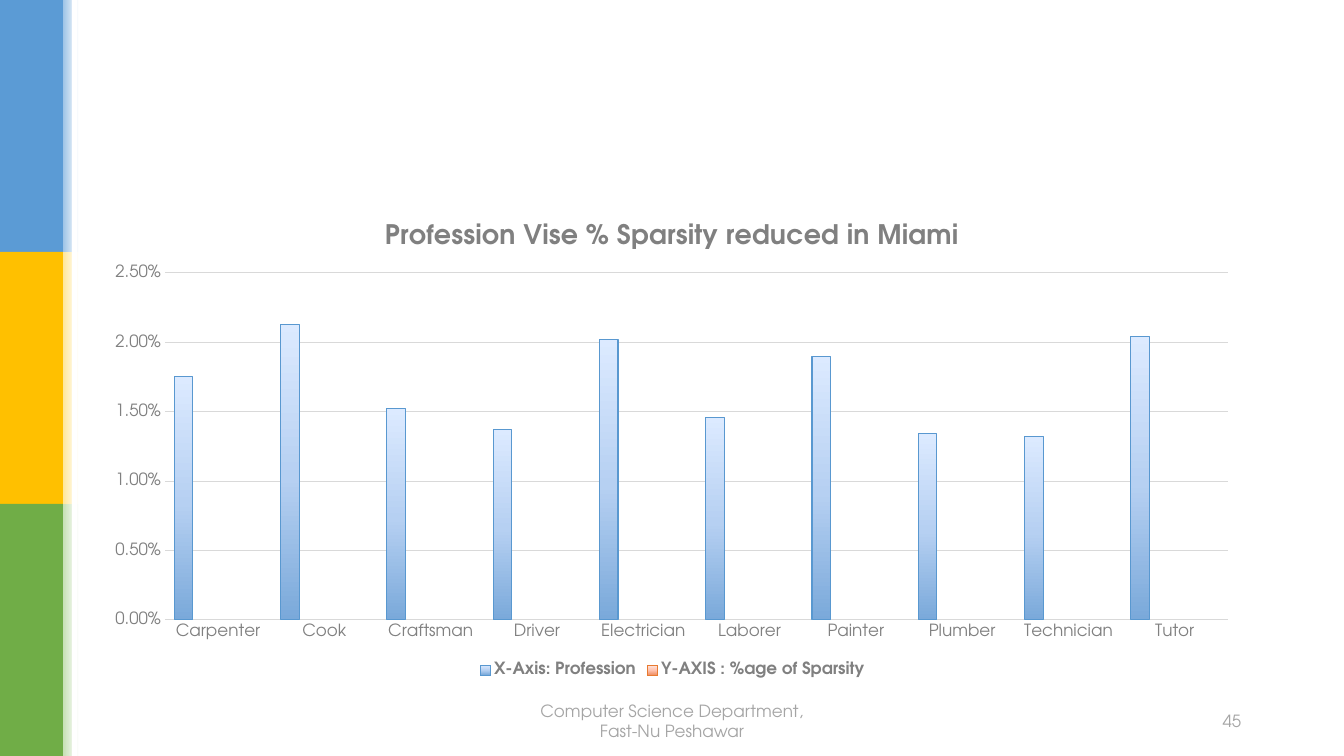
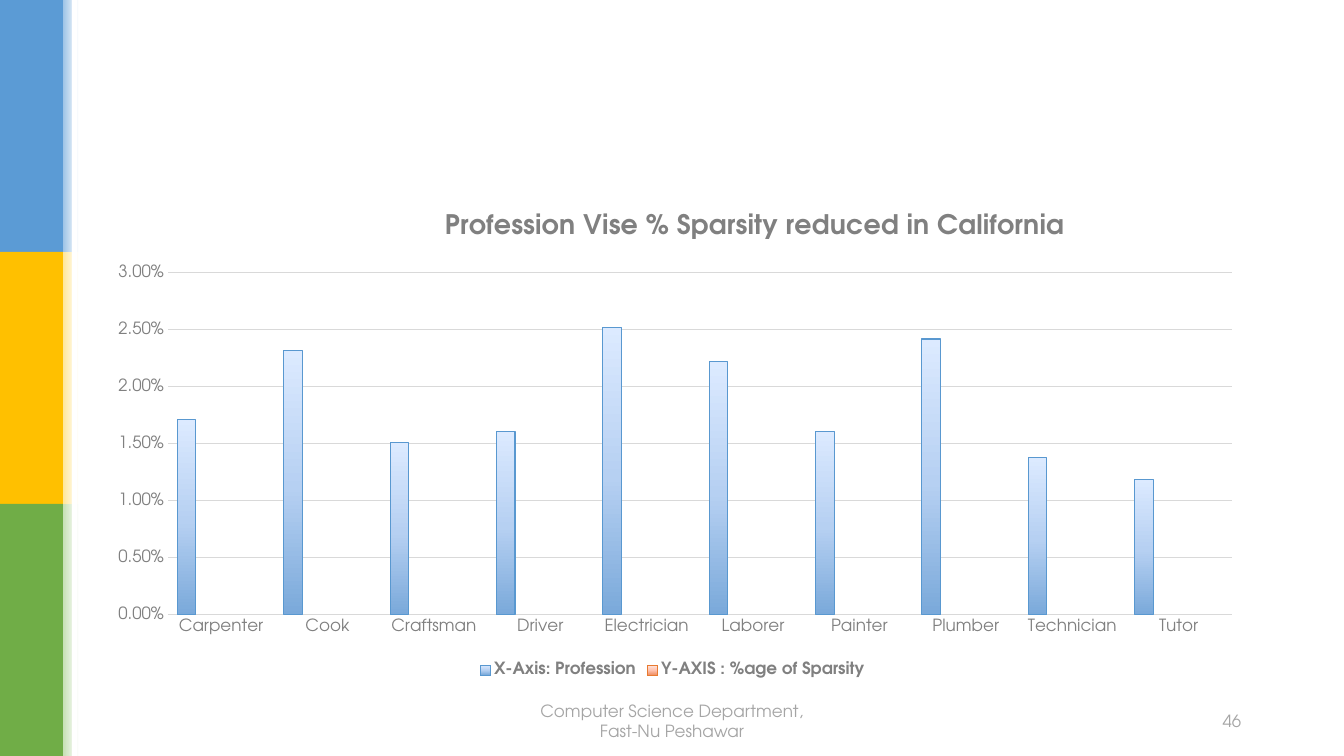
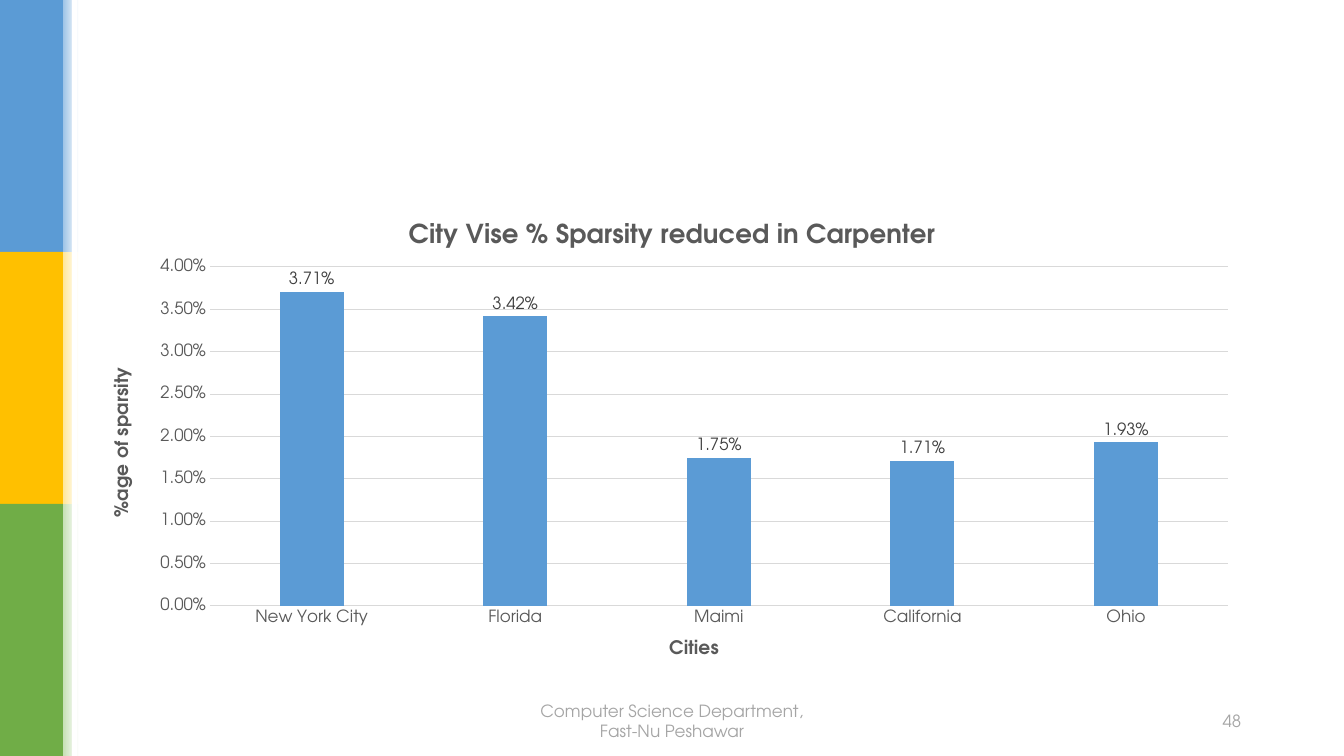
from copy import deepcopy

from pptx import Presentation
from pptx.chart.data import CategoryChartData as ChartData
from pptx.dml.color import RGBColor
from pptx.enum.chart import XL_CHART_TYPE as ChartType
from pptx.enum.chart import XL_LABEL_POSITION as LabelPosition
from pptx.enum.chart import XL_LEGEND_POSITION as LegendPosition
from pptx.enum.chart import XL_TICK_MARK as TickMark
from pptx.enum.shapes import MSO_SHAPE as ShapeType
from pptx.enum.text import MSO_ANCHOR as Anchor
from pptx.enum.text import PP_ALIGN as Align
from pptx.oxml import parse_xml
from pptx.oxml.ns import nsdecls, qn
from pptx.util import Emu, Pt

FONT = "TeX Gyre Adventor"
PERCENT = "0.00%"
SLIDE_WIDTH, SLIDE_HEIGHT = 1344, 756
BAND_WIDTH, FADE_WIDTH = 63, 16
CHART_BOX = (93, 202, 1159, 480)
FOOTER_BOX = (512, 701, 320, 40)
NUMBER_BOX = (890, 701, 361, 40)

WHITE = RGBColor(0xFF, 0xFF, 0xFF)
BLACK = RGBColor(0x00, 0x00, 0x00)
BLUE = RGBColor(0x5B, 0x9B, 0xD5)
GOLD = RGBColor(0xFF, 0xC0, 0x00)
GREEN = RGBColor(0x70, 0xAD, 0x47)
PALE_BLUE = RGBColor(0x9D, 0xC3, 0xE6)
PALE_GOLD = RGBColor(0xFF, 0xE6, 0x99)
PALE_GREEN = RGBColor(0xC5, 0xE0, 0xB4)
GRID_GREY = RGBColor(0xD9, 0xD9, 0xD9)
FOOTER_GREY = RGBColor(0xA5, 0xA5, 0xA5)
MID_GREY = RGBColor(0x80, 0x80, 0x80)
DARK_GREY = RGBColor(0x59, 0x59, 0x59)
LABEL_GREY = RGBColor(0x40, 0x40, 0x40)

BANDS = [(BLUE, PALE_BLUE), (GOLD, PALE_GOLD), (GREEN, PALE_GREEN)]

GRADIENT_POSITIONS = (0, 0.48, 1)
PROFESSION_SERIES = [
    ("X-Axis: Profession", RGBColor(0x59, 0x98, 0xD0),
     (RGBColor(0x7A, 0xA9, 0xDA), RGBColor(0xB6, 0xD0, 0xF2), RGBColor(0xDC, 0xEA, 0xFF))),
    ("Y-AXIS : %age of Sparsity", RGBColor(0xE8, 0x7A, 0x30),
     (RGBColor(0xEF, 0x91, 0x66), RGBColor(0xFF, 0xC2, 0xAF), RGBColor(0xFF, 0xE6, 0xDF))),
    ("Series 3", RGBColor(0xA1, 0xA1, 0xA1),
     (RGBColor(0xB1, 0xB1, 0xB1), RGBColor(0xD5, 0xD5, 0xD5), RGBColor(0xED, 0xED, 0xED))),
    ("Series 4", RGBColor(0xF9, 0xBC, 0x00),
     (RGBColor(0xFF, 0xC7, 0x5E), RGBColor(0xFF, 0xE0, 0xB6), RGBColor(0xFF, 0xF2, 0xE2))),
]
HIDDEN_LEGEND_ENTRIES = (2, 3)
PROFESSIONS = ["Carpenter", "Cook", "Craftsman", "Driver", "Electrician",
               "Laborer", "Painter", "Plumber", "Technician", "Tutor"]
MIAMI = [0.0175, 0.0213, 0.0152, 0.0137, 0.0202, 0.0146, 0.019, 0.0134, 0.0132, 0.0204]
CALIFORNIA = [0.0171, 0.0232, 0.0151, 0.0161, 0.0252, 0.0222, 0.0161, 0.0242, 0.0138, 0.0119]
CITIES = ["New York City", "Florida", "Maimi", "California", "Ohio"]
CARPENTER = [0.0371, 0.0342, 0.0175, 0.0171, 0.0193]


def px(length):
    return Emu(round(length * 914400 / 100.8))


def place(box):
    return [px(length) for length in box]


def style_font(font, size, color, bold=False):
    font.name = FONT
    font.size = Pt(size)
    font.bold = bold
    font.color.rgb = color


def paint_stops(fill, colors, positions, angle):
    fill.gradient_angle = angle
    for stop, color, position in zip(fill.gradient_stops, colors, positions):
        stop.color.rgb = color
        stop.position = position


def add_rectangle(slide, box):
    shape = slide.shapes.add_shape(ShapeType.RECTANGLE, *place(box))
    shape.shadow.inherit = False
    shape.line.fill.background()
    return shape


def add_side_bands(slide, box):
    left, top, width, height = box
    band_height = height // len(BANDS)
    shapes = []
    for index, (color, pale) in enumerate(BANDS):
        band_top = top + index * band_height
        band = add_rectangle(slide, (left, band_top, width, band_height))
        band.fill.solid()
        band.fill.fore_color.rgb = color
        fade = add_rectangle(slide, (left + width, band_top, FADE_WIDTH, band_height))
        fade.fill.gradient()
        paint_stops(fade.fill, (pale, WHITE), (0, 1), 0)
        shapes += [band, fade]
    strip = add_rectangle(slide, (left + width + 9, top, 5, height))
    strip.fill.solid()
    strip.fill.fore_color.rgb = WHITE
    return shapes + [strip]


def build_layout(layout, slide):
    tree = layout.shapes.element
    for placeholder in list(layout.placeholders):
        tree.remove(placeholder.element)
    for shape in add_side_bands(slide, (0, 0, BAND_WIDTH, SLIDE_HEIGHT)):
        tree.append(shape.element)


def add_footer_text(slide, box, text, alignment):
    frame = slide.shapes.add_textbox(*place(box)).text_frame
    frame.word_wrap = True
    frame.vertical_anchor = Anchor.MIDDLE
    paragraph = frame.paragraphs[0]
    paragraph.alignment = alignment
    run = paragraph.add_run()
    run.text = text
    style_font(run.font, 12, FOOTER_GREY)


def add_footer(slide, number):
    add_footer_text(slide, FOOTER_BOX, "Computer Science Department, Fast-Nu Peshawar", Align.CENTER)
    add_footer_text(slide, NUMBER_BOX, str(number), Align.RIGHT)


def manual_layout(sizes, box, target=""):
    names = ("x", "y", "w", "h")[:len(sizes)]
    modes = "".join(f'<c:{name}Mode val="edge"/>' for name in names[:2])
    values = "".join(f'<c:{name} val="{size / box[2 + index % 2]:.4f}"/>'
                     for index, (name, size) in enumerate(zip(names, sizes)))
    return parse_xml(f'<c:layout {nsdecls("c")}><c:manualLayout>{target}{modes}{values}'
                     '</c:manualLayout></c:layout>')


def remove_layout(element):
    for layout in element.findall(qn("c:layout")):
        element.remove(layout)


def place_plot(chart, sizes, box):
    area = chart.element.xpath("c:chart/c:plotArea")[0]
    remove_layout(area)
    area.insert(0, manual_layout(sizes, box, '<c:layoutTarget val="inner"/>'))


def place_title(chart, sizes, box):
    title = chart.element.xpath("c:chart/c:title")[0]
    remove_layout(title)
    title.find(qn("c:tx")).addnext(manual_layout(sizes, box))


def write_title(title, text, size, color):
    run = title.text_frame.paragraphs[0].add_run()
    run.text = text
    style_font(run.font, size, color, True)


def add_column_chart(slide, box, categories, series, title, title_size, color, maximum, plot_box):
    data = ChartData(number_format=PERCENT)
    data.categories = categories
    for name, values in series:
        data.add_series(name, values)
    chart = slide.shapes.add_chart(ChartType.COLUMN_CLUSTERED, *place(box), data).chart
    style_font(chart.font, 10, BLACK)
    chart.has_title = True
    write_title(chart.chart_title, title, title_size, color)
    chart.chart_title.include_in_layout = False
    chart.has_legend = False
    chart.plots[0].vary_by_categories = False

    for axis in (chart.category_axis, chart.value_axis):
        axis.major_tick_mark = axis.minor_tick_mark = TickMark.NONE
        style_font(axis.tick_labels.font, 12, color)
    horizontal, vertical = chart.category_axis, chart.value_axis
    vertical.minimum_scale, vertical.maximum_scale = 0, maximum
    vertical.major_unit = 0.005
    vertical.tick_labels.number_format = PERCENT
    vertical.tick_labels.number_format_is_linked = False
    vertical.format.line.fill.background()
    vertical.has_major_gridlines = True
    for line in (horizontal.format.line, vertical.major_gridlines.format.line):
        line.color.rgb = GRID_GREY
        line.width = Pt(0.75)
    place_plot(chart, plot_box, box)
    return chart


def add_profession_chart(slide, box, place_name, values, maximum, plot_box, title_at=None):
    empty = [None] * len(values)
    series = [(name, empty if index else values)
              for index, (name, _, _) in enumerate(PROFESSION_SERIES)]
    chart = add_column_chart(slide, box, PROFESSIONS, series,
                             f"Profession Vise % Sparsity reduced in {place_name}",
                             19.2, MID_GREY, maximum, plot_box)
    if title_at:
        place_title(chart, title_at, box)
    plot = chart.plots[0]
    plot.gap_width, plot.overlap = 100, -24
    for column, (_, outline, _) in zip(plot.series, PROFESSION_SERIES):
        column.format.fill.gradient()
        column.format.line.color.rgb = outline
        column.format.line.width = Pt(0.75)
    for stops in chart.element.xpath(".//c:ser/c:spPr/a:gradFill/a:gsLst"):
        stops.insert(1, deepcopy(stops[0]))
    for column, (_, _, colors) in zip(plot.series, PROFESSION_SERIES):
        paint_stops(column.format.fill, colors, GRADIENT_POSITIONS, 90)

    chart.has_legend = True
    chart.legend.position = LegendPosition.BOTTOM
    chart.legend.include_in_layout = False
    style_font(chart.legend.font, 12, MID_GREY, True)
    position = chart.element.xpath("c:chart/c:legend/c:legendPos")[0]
    for index in reversed(HIDDEN_LEGEND_ENTRIES):
        position.addnext(parse_xml(f'<c:legendEntry {nsdecls("c")}><c:idx val="{index}"/>'
                                   '<c:delete val="1"/></c:legendEntry>'))


def add_city_chart(slide, box):
    chart = add_column_chart(slide, box, CITIES, [("Series 1", CARPENTER)],
                             "City Vise % Sparsity reduced in Carpenter",
                             18.6, DARK_GREY, 0.04, (117, 65, 1018, 339))
    write_title(chart.category_axis.axis_title, "Cities", 13.3, DARK_GREY)
    write_title(chart.value_axis.axis_title, "%age of sparsity", 13.3, DARK_GREY)
    plot = chart.plots[0]
    plot.gap_width, plot.overlap = 219, -27
    fill = plot.series[0].format.fill
    fill.solid()
    fill.fore_color.rgb = BLUE
    plot.has_data_labels = True
    labels = plot.data_labels
    labels.show_value = True
    labels.position = LabelPosition.OUTSIDE_END
    labels.number_format = PERCENT
    labels.number_format_is_linked = False
    style_font(labels.font, 12, LABEL_GREY)


def main():
    presentation = Presentation()
    presentation.slide_width, presentation.slide_height = px(SLIDE_WIDTH), px(SLIDE_HEIGHT)
    layout = presentation.slide_layouts.get_by_name("Blank")
    miami, california, carpenter = [presentation.slides.add_slide(layout) for _ in range(3)]
    build_layout(layout, miami)

    add_profession_chart(miami, CHART_BOX, "Miami", MIAMI, 0.025, (72, 71, 1063, 347))
    add_profession_chart(california, CHART_BOX, "California", CALIFORNIA, 0.03,
                         (75, 71, 1064, 342), (347, 4))
    add_city_chart(carpenter, CHART_BOX)
    for slide, number in ((miami, 45), (california, 46), (carpenter, 48)):
        add_footer(slide, number)
    presentation.save("out.pptx")


if __name__ == "__main__":
    main()
